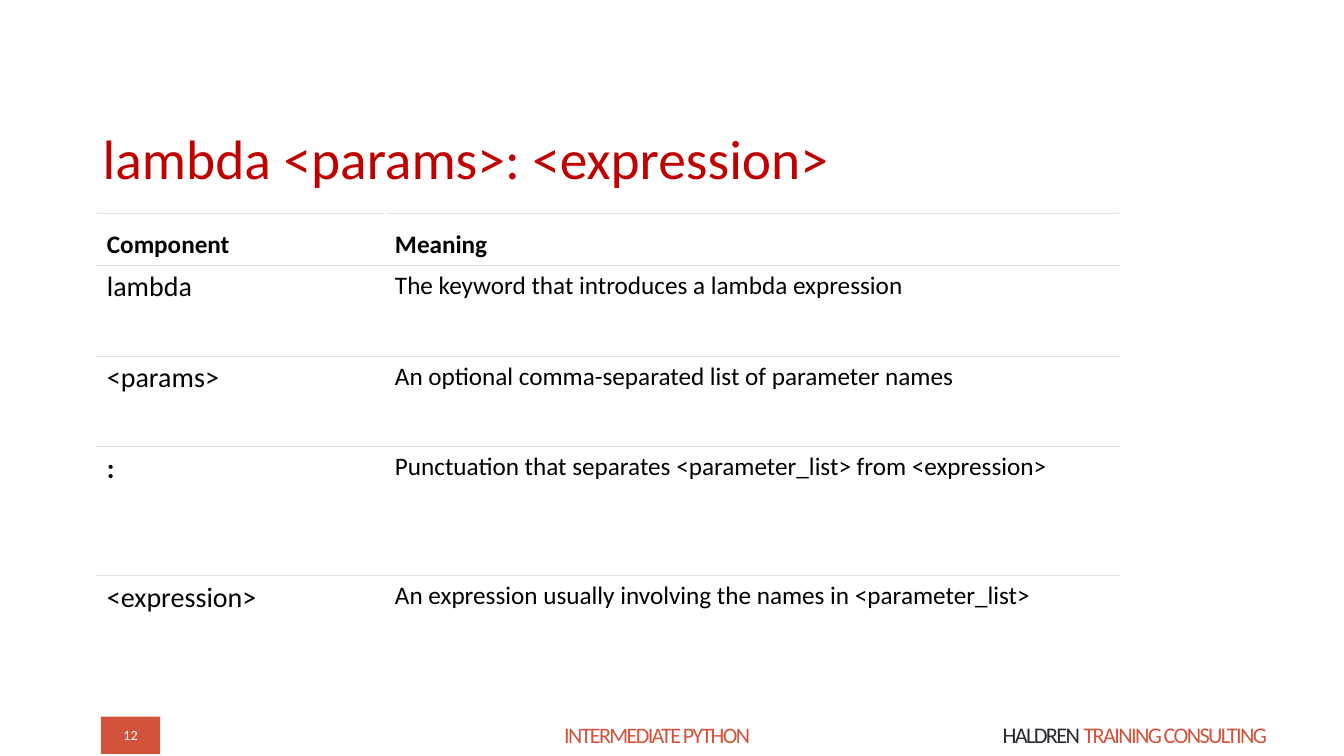
"""Build the slide that explains the parts of a lambda expression."""
from lxml.etree import SubElement
from pptx import Presentation
from pptx.dml.color import RGBColor as Rgb
from pptx.enum.shapes import MSO_SHAPE as Kind
from pptx.enum.text import MSO_ANCHOR as Anchor, PP_ALIGN as Align
from pptx.oxml.ns import qn
from pptx.util import Cm, Pt

HUES = {"brick": "D2533C", "ink": "292934", "title": "C00000",
        "black": "000000", "white": "FFFFFF", "rule": "DEE2E6"}


class Deck:
    def __init__(self, wide, high, font):
        self.prs = Presentation()
        self.prs.slide_width, self.prs.slide_height = Cm(wide), Cm(high)
        self.slide = self.prs.slides.add_slide(self.prs.slide_layouts[6])
        self.font = font

    def hue(self, name):
        return Rgb.from_string(HUES[name])

    def label(self, frame, runs, size, tight=0, bold=False, align=Align.LEFT, lead=1.0, **form):
        for key, val in form.items():
            setattr(frame, key, val)
        para = frame.paragraphs[0]
        para.alignment, para.line_spacing = align, lead
        for words, tint in runs:
            run = para.add_run()
            run.text = words
            style = {"name": self.font, "size": Pt(size), "bold": bold}
            for key, val in style.items():
                setattr(run.font, key, val)
            run.font.color.rgb = self.hue(tint)
            if tight:
                run._r.get_or_add_rPr().set("spc", str(round(tight * 100)))

    def text(self, box, runs, size, **form):
        item = self.slide.shapes.add_textbox(*map(Cm, box))
        self.label(item.text_frame, runs, size, **form)

    def badge(self, box, words, size, tint):
        item = self.slide.shapes.add_shape(Kind.RECTANGLE, *map(Cm, box))
        item.shadow.inherit = False
        item.fill.solid()
        item.fill.fore_color.rgb = self.hue(tint)
        item.line.fill.background()
        self.label(item.text_frame, [(words, "white")], size,
                   align=Align.CENTER, vertical_anchor=Anchor.MIDDLE)

    def edge(self, cell, side):
        line = SubElement(cell._tc.get_or_add_tcPr(), qn(f"a:ln{side}"), w=str(Pt(0.75)))
        fill = SubElement(line, qn("a:solidFill"))
        SubElement(fill, qn("a:srgbClr"), val=HUES["rule"])

    def table(self, left, top, cols, rows, data):
        box = map(Cm, (left, top, sum(cols), sum(rows)))
        grid = self.slide.shapes.add_table(len(rows), len(cols), *box).table
        for col, wide in zip(grid.columns, cols):
            col.width = Cm(wide)
        for i, (row, high, line) in enumerate(zip(grid.rows, rows, data)):
            row.height = Cm(high)
            for j, (cell, words) in enumerate(zip(row.cells, line)):
                for side in "T" if i == len(rows) - 1 else "TB":
                    self.edge(cell, side)
                cell.fill.solid()
                cell.fill.fore_color.rgb = self.hue("white")
                cell.vertical_anchor = Anchor.TOP if i else Anchor.BOTTOM
                self.label(cell.text_frame, [(words, "black")], 20 if i and not j else 18,
                           bold=i == 0 or words == ":")


def main():
    deck = Deck(33.87, 19.05, "Calibri")
    deck.text((13.97, 18.06, 5.21, 0.94), [("INTERMEDIATE PYTHON", "brick")], 15.8,
              tight=-1.2, word_wrap=False)
    deck.badge((2.54, 18.06, 1.5, 0.94), "12", 10, "brick")
    deck.text((24.51, 18.34, 7.62, 0.61),
              [("HALDREN", "ink"), (" TRAINING CONSULTING", "brick")], 16,
              tight=-1.2, align=Align.RIGHT, word_wrap=True, vertical_anchor=Anchor.BOTTOM,
              margin_left=Cm(0.2), margin_right=Cm(0.2),
              margin_top=Cm(0.1), margin_bottom=Cm(0.1))
    deck.text((2.34, 1.57, 29.21, 3.68), [("lambda <params>: <expression>", "title")], 39.6,
              lead=0.9, word_wrap=True, vertical_anchor=Anchor.BOTTOM, margin_bottom=Cm(0.43))
    deck.table(2.44, 5.38, (7.26, 18.52), (1.3, 2.29, 2.29, 3.25, 2.29), [
        ("Component", "Meaning"),
        ("lambda", "The keyword that introduces a lambda expression"),
        ("<params>", "An optional comma-separated list of parameter names"),
        (":", "Punctuation that separates <parameter_list> from <expression>"),
        ("<expression>", "An expression usually involving the names in <parameter_list>"),
    ])
    deck.prs.save("out.pptx")


if __name__ == "__main__":
    main()
